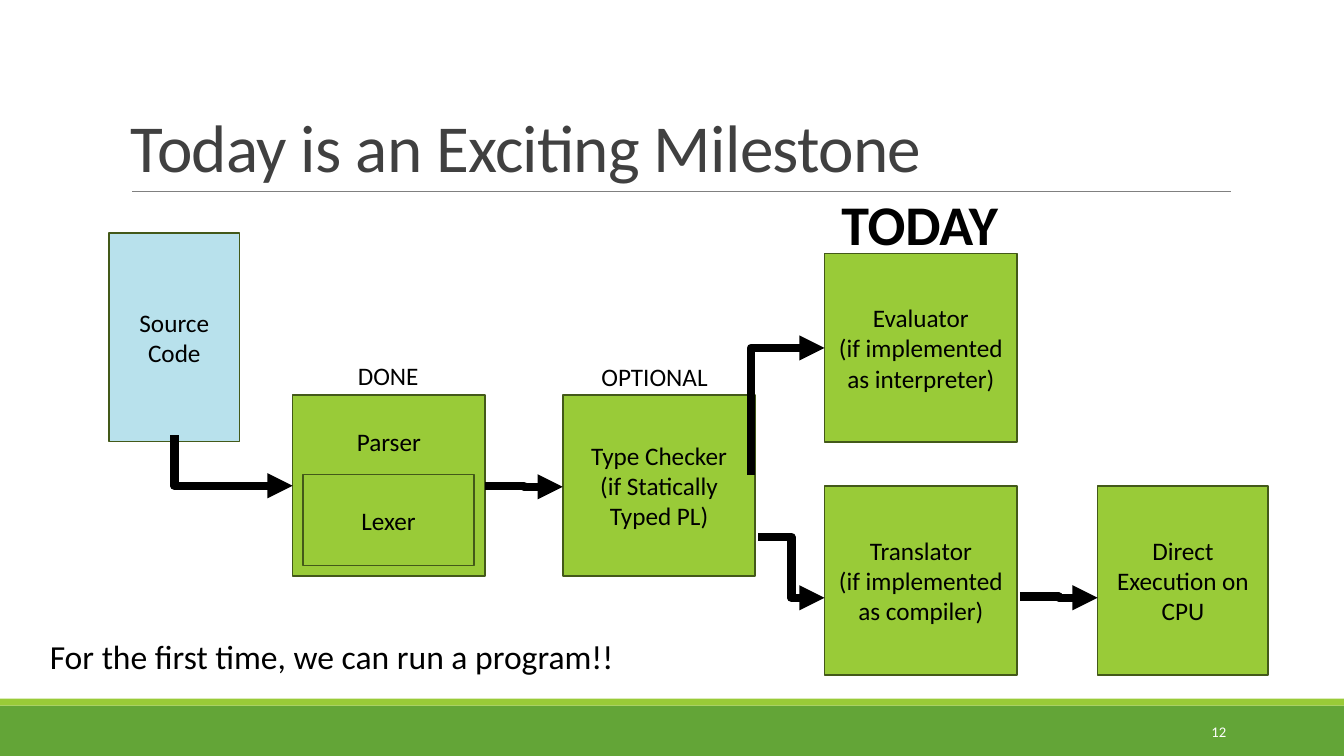
from dataclasses import dataclass

from lxml.etree import SubElement
from pptx import Presentation
from pptx.dml.color import RGBColor
from pptx.enum.shapes import MSO_CONNECTOR as Link, MSO_SHAPE as Preset
from pptx.enum.text import MSO_ANCHOR as Anchor, PP_ALIGN as Align
from pptx.oxml.ns import qn
from pptx.util import Pt

FONT = "Calibri"
BLACK, WHITE, GREEN, DARK_GREEN = "000000", "FFFFFF", "99CB38", "63A537"
EDGE, PALE_BLUE, TITLE_GREY, RULE_GREY = "435919", "B8E1EC", "404040", "808080"
STAGE_WIDTH = 137.5


@dataclass
class Stage:
    """A box of the pipeline; "\\n" in a paragraph is a line break."""
    left: float
    top: float
    width: float
    height: float
    paragraphs: tuple[str, ...]
    fill: str = GREEN
    top_inset: float | None = None


@dataclass
class Label:
    left: float
    top: float
    width: float
    height: float
    text: str
    size: float = 18
    color: str = BLACK
    bold: bool = False
    wrap: bool = False
    align: Align = Align.LEFT
    anchor: Anchor = Anchor.TOP
    line_spacing: float | None = None
    tracking: int = 0


@dataclass
class Arrow:
    start: tuple[float, float]
    end: tuple[float, float]
    vertical_first: bool = False


STAGES = [
    Stage(209, 282, STAGE_WIDTH, 129.5, ("Parser",), top_inset=22.5),
    Stage(402, 282, STAGE_WIDTH, 129.5, ("Type Checker\n(if Statically Typed PL)",)),
    Stage(589, 181, STAGE_WIDTH, 135, ("Evaluator\n(if implemented as interpreter)",)),
    Stage(589, 347, STAGE_WIDTH, 135, ("Translator\n(if implemented as compiler)",)),
    Stage(784, 347, 122, 135, ("Direct Execution on CPU",)),
    Stage(78, 166.5, 93, 149, ("Source", "Code"), fill=PALE_BLUE),
    Stage(216.5, 339, 122, 65, ("Lexer",)),
]

ARROWS = [
    Arrow((124.5, 311), (209, 347), vertical_first=True),
    Arrow((346.5, 347), (402, 347.75)),
    Arrow((536.5, 339), (589, 248.5), vertical_first=True),
    Arrow((541.5, 383.5), (589, 427)),
    Arrow((728.5, 426.25), (784, 427)),
]

LABELS = [
    Label(86.5, 22, 792, 114.5, "Today is an Exciting Milestone", 48, TITLE_GREY,
          wrap=True, anchor=Anchor.BOTTOM, line_spacing=0.85, tracking=-50),
    Label(594, 132, 127.5, 55.5, "TODAY", 40, bold=True),
    Label(248.5, 254, 58, 29, "DONE"),
    Label(422.5, 254.5, 91, 29, "OPTIONAL"),
    Label(28.5, 451, 435, 36, "For the first time, we can run a program!!", 24),
    Label(780, 508.5, 103, 28.5, "12", 10.5, WHITE, wrap=True,
          align=Align.RIGHT, anchor=Anchor.MIDDLE),
]


def rgb(code: str) -> RGBColor:
    return RGBColor.from_string(code)


def add_span(para, text: str, size: float, color: str, bold: bool = False):
    span = para.add_run()
    span.text = text
    span.font.name, span.font.size, span.font.bold = FONT, Pt(size), bold
    span.font.color.rgb = rgb(color)
    return span


def add_rectangle(page, left: float, top: float, width: float, height: float, fill: str):
    box = page.shapes.add_shape(Preset.RECTANGLE, Pt(left), Pt(top), Pt(width), Pt(height))
    box.shadow.inherit = False
    box.fill.solid()
    box.fill.fore_color.rgb = rgb(fill)
    box.line.fill.background()
    return box


def add_line(page, kind: Link, start: tuple[float, float], end: tuple[float, float],
             color: str, weight: float):
    line = page.shapes.add_connector(kind, *(Pt(value) for value in start + end))
    line.line.color.rgb = rgb(color)
    line.line.width = Pt(weight)
    SubElement(line._element.spPr, qn("a:effectLst"))
    return line


def draw_stage(page, stage: Stage) -> None:
    box = add_rectangle(page, stage.left, stage.top, stage.width, stage.height, stage.fill)
    box.line.color.rgb = rgb(EDGE)
    box.line.width = Pt(1.25)
    frame = box.text_frame
    frame.word_wrap = True
    frame.vertical_anchor = Anchor.MIDDLE
    if stage.top_inset is not None:
        frame.vertical_anchor = Anchor.TOP
        frame.margin_top = Pt(stage.top_inset)
    for index, text in enumerate(stage.paragraphs):
        para = frame.add_paragraph() if index else frame.paragraphs[0]
        para.alignment = Align.CENTER
        for row, words in enumerate(text.split("\n")):
            if row:
                para.add_line_break()
            add_span(para, words, 18, BLACK)


def draw_label(page, label: Label) -> None:
    box = page.shapes.add_textbox(Pt(label.left), Pt(label.top), Pt(label.width), Pt(label.height))
    frame = box.text_frame
    frame.word_wrap = label.wrap
    frame.vertical_anchor = label.anchor
    para = frame.paragraphs[0]
    para.alignment = label.align
    if label.line_spacing:
        para.line_spacing = label.line_spacing
    span = add_span(para, label.text, label.size, label.color, label.bold)
    if label.tracking:
        span.font._element.set("spc", str(label.tracking))


def draw_arrow(page, arrow: Arrow) -> None:
    start, end = arrow.start, arrow.end
    if arrow.vertical_first:
        # The frame before rotation: sides swapped about the same centre
        across, down = end[0] - start[0], end[1] - start[1]
        middle_x, middle_y = (start[0] + end[0]) / 2, (start[1] + end[1]) / 2
        half_width, half_height = abs(down) / 2, abs(across) / 2
        start = (middle_x - half_width, middle_y - half_height)
        end = (middle_x + half_width, middle_y + half_height)
    line = add_line(page, Link.ELBOW, start, end, BLACK, 6)
    if arrow.vertical_first:
        properties = line._element.spPr
        properties.find(qn("a:prstGeom")).set("prst", "bentConnector2")
        frame = properties.find(qn("a:xfrm"))
        frame.set("rot", str((270 if down > 0 else 90) * 60000))
        frame.set("flipH", "1")
        if down < 0:
            frame.set("flipV", "1")
    SubElement(line.line._get_or_add_ln(), qn("a:tailEnd"), type="triangle")


def main() -> None:
    deck = Presentation()
    deck.slide_width, deck.slide_height = Pt(960), Pt(540)
    page = deck.slides.add_slide(deck.slide_layouts[6])

    # Footer bands and title rule
    add_rectangle(page, 0, 504, 960, 36, DARK_GREEN)
    add_rectangle(page, 0, 499, 960, 5, GREEN)
    add_line(page, Link.STRAIGHT, (94.5, 136.5), (879, 136.5), RULE_GREY, 0.5)

    # Pipeline
    for stage in STAGES:
        draw_stage(page, stage)
    for arrow in ARROWS:
        draw_arrow(page, arrow)

    # Title, captions and page number
    for label in LABELS:
        draw_label(page, label)

    deck.save("out.pptx")


if __name__ == "__main__":
    main()
